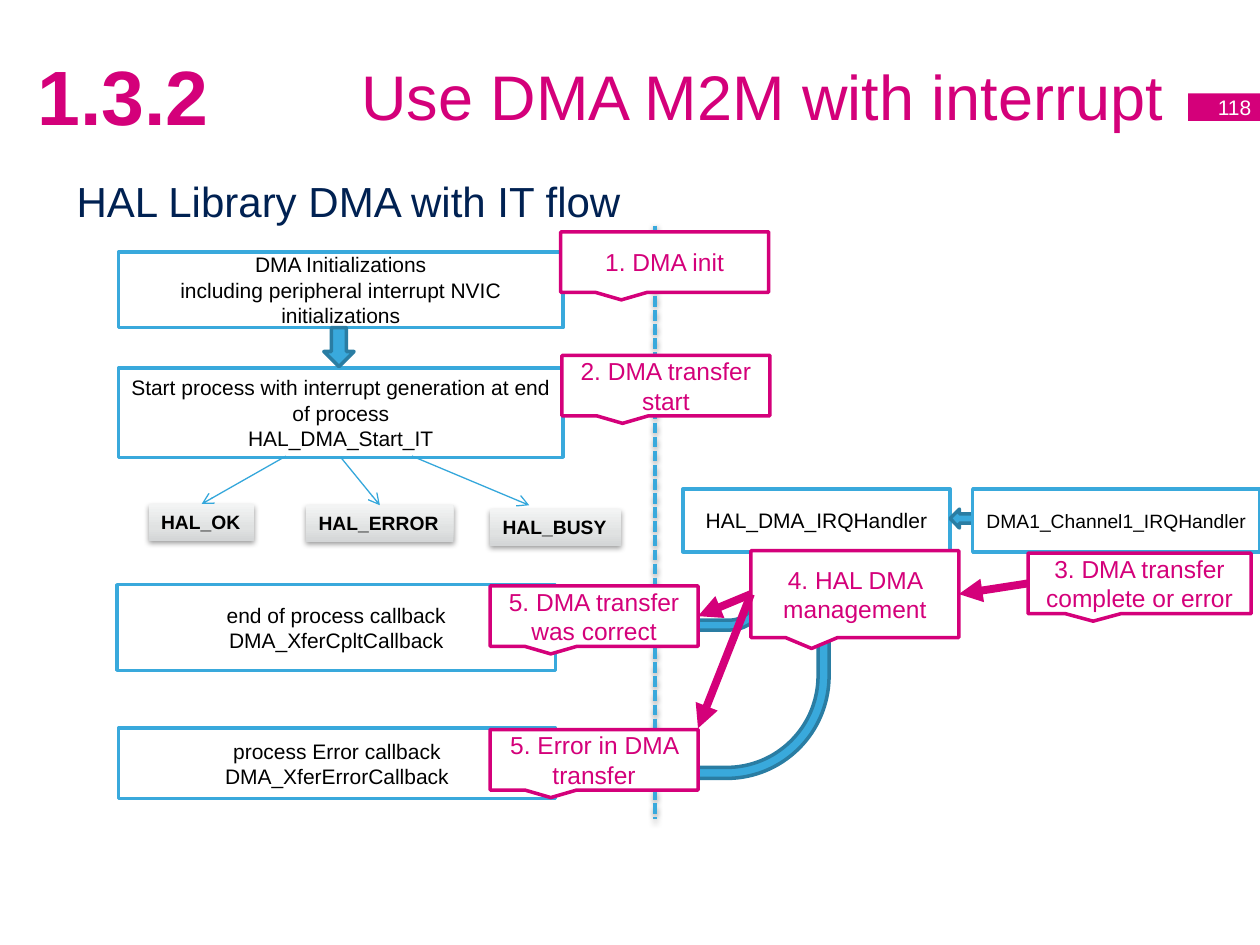
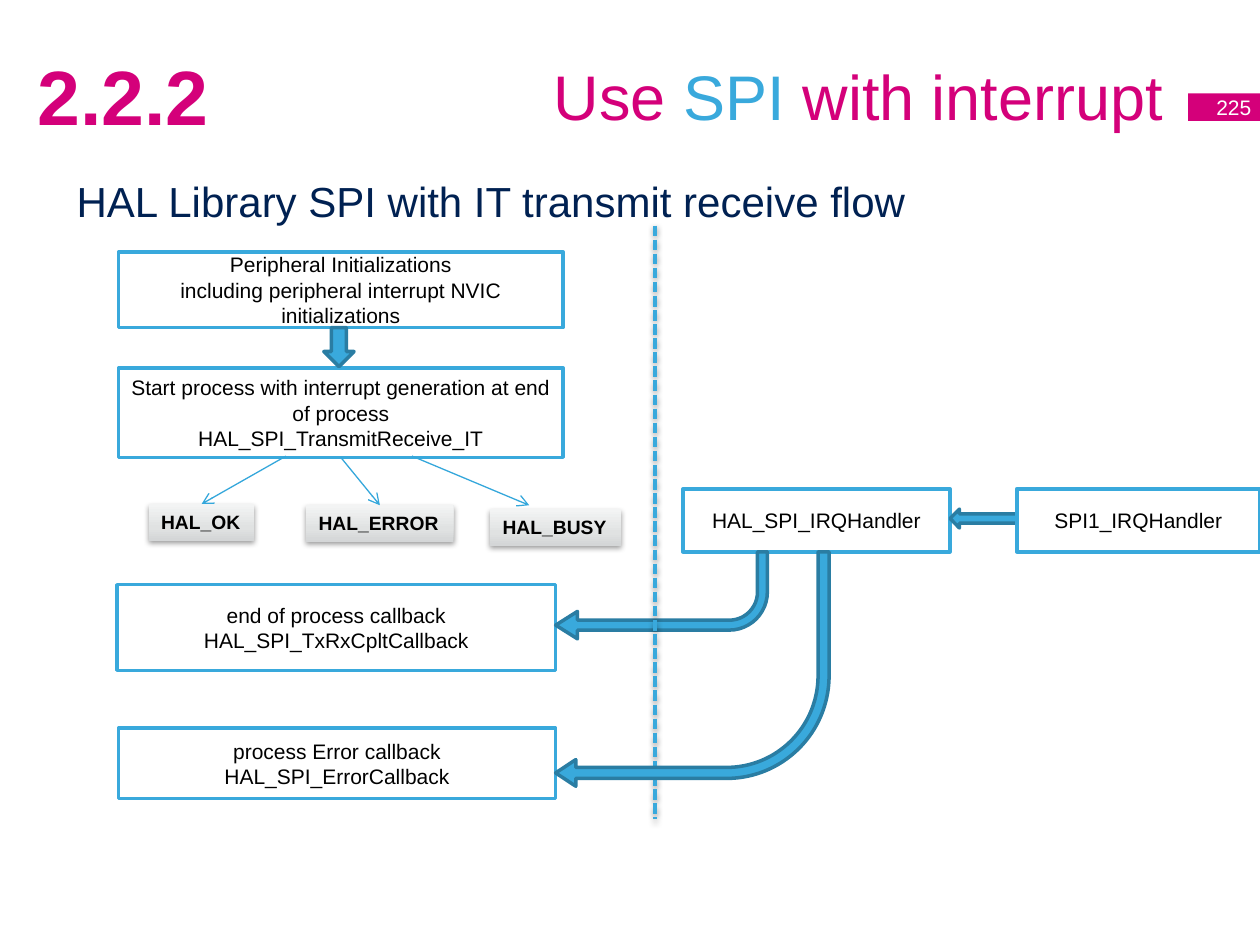
from dataclasses import dataclass

from lxml.etree import SubElement
from copy import deepcopy
from pptx import Presentation
from pptx.dml.color import RGBColor
from pptx.enum.dml import MSO_LINE
from pptx.enum.shapes import MSO_CONNECTOR, MSO_SHAPE
from pptx.enum.text import MSO_ANCHOR, PP_ALIGN
from pptx.oxml.ns import qn
from pptx.util import Inches, Pt

TOP, LEFT, BOTTOM, RIGHT = range(4)


@dataclass(frozen=True)
class Theme:
    font: str = "Arial"
    magenta: str = "D4007A"
    blue: str = "39A9DC"
    arrow_edge: str = "2A7DA3"
    thin_arrow: str = "34A7DB"
    navy: str = "002152"
    black: str = "000000"
    white: str = "FFFFFF"
    status_stops: tuple = ((0, "D4D6D7"), (0.35, "E0E2E2"), (1, "F3F4F4"))
    number_size: int = 44
    title_size: int = 36
    subtitle_size: int = 24
    callout_size: int = 14
    body_size: int = 12
    small_size: int = 11
    outline: float = 2


@dataclass(frozen=True)
class Box:
    """A rectangle in inches."""
    left: float
    top: float
    width: float
    height: float

    def inside(self, left, top, width, height):
        return Box(self.left + left, self.top + top, width, height)

    def point(self, x, y):
        return self.left + x, self.top + y

    def emu(self):
        return [Inches(v) for v in (self.left, self.top, self.width, self.height)]


THEME = Theme()
HEADER = Box(0.2, 0.13, 9.83, 1.25)
SUBTITLE = Box(0.51, 1.34, 9, 0.5)
PROCESS = Box(0.93, 2, 3.54, 4.34)
INTERRUPT = Box(4.41, 1.79, 5.59, 4.71)
CALLOUTS = Box(3.89, 1.84, 6.04, 4.43)


def rgb(value):
    return RGBColor.from_string(value)


def write(shape, *paragraphs, size=THEME.body_size, color=THEME.black, bold=False,
          align=PP_ALIGN.CENTER, anchor=MSO_ANCHOR.MIDDLE, wrap=True):
    """Fill a shape with paragraphs; each is a string or a list of (text, colour)."""
    frame = shape.text_frame
    frame.word_wrap = wrap
    frame.vertical_anchor = anchor
    for index, content in enumerate(paragraphs):
        paragraph = frame.add_paragraph() if index else frame.paragraphs[0]
        paragraph.alignment = align
        runs = [(content, color)] if isinstance(content, str) else content
        for text, run_color in runs:
            run = paragraph.add_run()
            run.text = text
            run.font.name = THEME.font
            run.font.size = Pt(size)
            run.font.bold = bold
            run.font.color.rgb = rgb(run_color)


def add_text(slide, box, *paragraphs, **text_format):
    write(slide.shapes.add_textbox(*box.emu()), *paragraphs, **text_format)


def add_shape(slide, kind, box, fill=None, line=None):
    shape = slide.shapes.add_shape(kind, *box.emu())
    shape.shadow.inherit = False
    if fill:
        shape.fill.solid()
        shape.fill.fore_color.rgb = rgb(fill)
    if line:
        shape.line.color.rgb = rgb(line)
        shape.line.width = Pt(THEME.outline)
    else:
        shape.line.fill.background()
    return shape


def add_panel(slide, box, *paragraphs, **text_format):
    panel = add_shape(slide, MSO_SHAPE.RECTANGLE, box, THEME.white, THEME.blue)
    write(panel, *paragraphs, **text_format)
    return panel


def add_block_arrow(slide, kind, box, adjustments=(), rotation=0):
    arrow = add_shape(slide, kind, box, THEME.blue, THEME.arrow_edge)
    arrow.rotation = rotation
    for index, value in enumerate(adjustments):
        arrow.adjustments[index] = value


def add_line(slide, start, end, color, width, head=None):
    """Draw a line; each end is an (x, y) point or a (shape, side) pair."""
    joined = [not isinstance(place[0], (int, float)) for place in (start, end)]
    places = [(0, 0) if glued else place
              for glued, place in zip(joined, (start, end))]
    line = slide.shapes.add_connector(
        MSO_CONNECTOR.STRAIGHT, *[Inches(v) for place in places for v in place])
    if joined[0]:
        line.begin_connect(*start)
    if joined[1]:
        line.end_connect(*end)
    line.line.color.rgb = rgb(color)
    line.line.width = Pt(width)
    if head:
        SubElement(line.line._get_or_add_ln(), qn("a:tailEnd"), type=head)
    SubElement(line._element.spPr, qn("a:effectLst"))
    return line


def add_soft_shadow(shape):
    effects = shape._element.spPr.find(qn("a:effectLst"))
    shadow = SubElement(effects, qn("a:outerShdw"), blurRad="40000", dist="20000",
                        dir="5400000", rotWithShape="0")
    color = SubElement(shadow, qn("a:srgbClr"), val=THEME.black)
    SubElement(color, qn("a:alpha"), val="38000")


def add_status(slide, box, name):
    status = add_shape(slide, MSO_SHAPE.RECTANGLE, box)
    status.fill.gradient()
    status.fill.gradient_angle = 90
    stops = status._element.spPr.find(".//" + qn("a:gsLst"))
    stops.insert(1, deepcopy(stops[0]))
    for stop, (position, color) in zip(status.fill.gradient_stops, THEME.status_stops):
        stop.position = position
        stop.color.rgb = rgb(color)
    add_soft_shadow(status)
    write(status, name, size=THEME.small_size, bold=True, align=PP_ALIGN.LEFT,
          anchor=MSO_ANCHOR.TOP, wrap=False)
    return status


def add_header(slide, box, number, title, page):
    add_text(slide, box.inside(0.3, 0, 8.83, box.height), title,
             size=THEME.title_size, color=THEME.magenta, align=PP_ALIGN.RIGHT)
    add_text(slide, box.inside(0, 0, 1.89, box.height), number,
             size=THEME.number_size, color=THEME.magenta, bold=True,
             align=PP_ALIGN.LEFT)
    tag = add_shape(slide, MSO_SHAPE.RECTANGLE, box.inside(9.23, 0.61, 0.6, 0.22),
                    THEME.magenta)
    write(tag, page, color=THEME.white, align=PP_ALIGN.RIGHT, wrap=False)


def add_process(slide, box, peripheral, start_call, complete_call, error_call):
    start = add_panel(slide, box.inside(0.01, 0.92, 3.53, 0.71),
                      "Start process with interrupt generation at end of process",
                      start_call)
    add_panel(slide, box.inside(0.01, 0, 3.53, 0.6), f"{peripheral} Initializations",
              "including peripheral interrupt NVIC initializations")
    add_panel(slide, box.inside(0, 2.64, 3.48, 0.68), "end of process callback",
              complete_call)
    add_panel(slide, box.inside(0.01, 3.78, 3.47, 0.56), "process Error callback",
              error_call)
    add_block_arrow(slide, MSO_SHAPE.DOWN_ARROW, box.inside(1.64, 0.6, 0.24, 0.31))

    ok = add_status(slide, box.inside(0.25, 2, 0.84, 0.29), "HAL_OK")
    error = add_status(slide, box.inside(1.5, 2.01, 1.17, 0.29), "HAL_ERROR")
    add_status(slide, box.inside(2.96, 2.04, 1.04, 0.29), "HAL_BUSY")
    for begin, end in (
        (box.point(1.34, 1.62), (ok, TOP)),
        ((start, BOTTOM), (error, TOP)),
        (box.point(2.34, 1.62), box.point(3.27, 2.01)),
    ):
        add_line(slide, begin, end, THEME.thin_arrow, 0.75, head="arrow")


def add_interrupt(slide, box, handler, source, source_width, source_size):
    """Draw the divider, the handlers and the arrows back to the callbacks."""
    add_panel(slide, box.inside(1.01, 2.09, 2.12, 0.5), handler)
    add_block_arrow(slide, MSO_SHAPE.BENT_ARROW, box.inside(0, 2.59, 1.68, 0.69),
                    (0.114, 0.158, 0.25, 0.438), rotation=180)
    divider = add_line(slide, box.point(0.79, 0), box.point(0.79, box.height),
                       THEME.blue, THEME.outline)
    divider.line.dash_style = MSO_LINE.SQUARE_DOT
    add_soft_shadow(divider)
    add_block_arrow(slide, MSO_SHAPE.LEFT_ARROW, box.inside(3.13, 2.25, 0.73, 0.15))
    add_block_arrow(slide, MSO_SHAPE.BENT_ARROW, box.inside(0, 2.59, 2.17, 1.86),
                    (0.047, 0.057, 0.086, 0.438), rotation=180)
    add_panel(slide, box.inside(box.width - source_width, 2.09, source_width, 0.5),
              source, size=source_size)


def add_callouts(slide, box):
    """Number the steps of the transfer over the flow."""
    def callout(text, left, top, width=1.65, height=0.48):
        shape = add_shape(slide, MSO_SHAPE.RECTANGULAR_CALLOUT,
                          box.inside(left, top, width, height),
                          THEME.white, THEME.magenta)
        write(shape, text, size=THEME.callout_size, color=THEME.magenta)
        return shape

    callout("1. DMA init", 0.56, 0)
    callout("2. DMA transfer start", 0.57, 0.98)
    finished = callout("3. DMA transfer complete or error", 4.27, 2.55, width=1.77)
    management = callout("4. HAL DMA management", 2.07, 2.53, height=0.69)
    correct = callout("5. DMA transfer was correct", 0, 2.81)
    callout("5. Error in DMA transfer", 0, 3.95)
    for begin, end in (
        ((finished, LEFT), (management, RIGHT)),
        ((management, LEFT), (correct, RIGHT)),
        ((management, LEFT), box.point(1.65, 3.94)),
    ):
        add_line(slide, begin, end, THEME.magenta, 4.5, head="triangle")


def add_flow_slide(deck, number, title, page, subtitle, process, interrupt):
    slide = deck.slides.add_slide(deck.slide_layouts[6])
    add_header(slide, HEADER, number, title, page)
    add_text(slide, SUBTITLE, subtitle, size=THEME.subtitle_size, color=THEME.navy,
             align=PP_ALIGN.LEFT, anchor=MSO_ANCHOR.TOP)
    add_process(slide, PROCESS, *process)
    add_interrupt(slide, INTERRUPT, *interrupt)
    return slide


def main():
    deck = Presentation()
    deck.slide_width, deck.slide_height = Inches(10), Inches(7.5)
    dma = add_flow_slide(
        deck, "1.3.2", "Use DMA M2M with interrupt", "118",
        "HAL Library DMA with IT flow",
        process=("DMA", "HAL_DMA_Start_IT", "DMA_XferCpltCallback",
                 "DMA_XferErrorCallback"),
        interrupt=("HAL_DMA_IRQHandler", "DMA1_Channel1_IRQHandler", 2.28,
                   THEME.small_size))
    add_callouts(dma, CALLOUTS)
    add_flow_slide(
        deck, "2.2.2",
        [("Use ", THEME.magenta), ("SPI ", THEME.blue),
         ("with interrupt", THEME.magenta)], "225",
        "HAL Library SPI with IT transmit receive flow",
        process=("Peripheral", "HAL_SPI_TransmitReceive_IT",
                 "HAL_SPI_TxRxCpltCallback", "HAL_SPI_ErrorCallback"),
        interrupt=("HAL_SPI_IRQHandler", "SPI1_IRQHandler", 1.93, THEME.body_size))
    deck.save("out.pptx")


if __name__ == "__main__":
    main()
